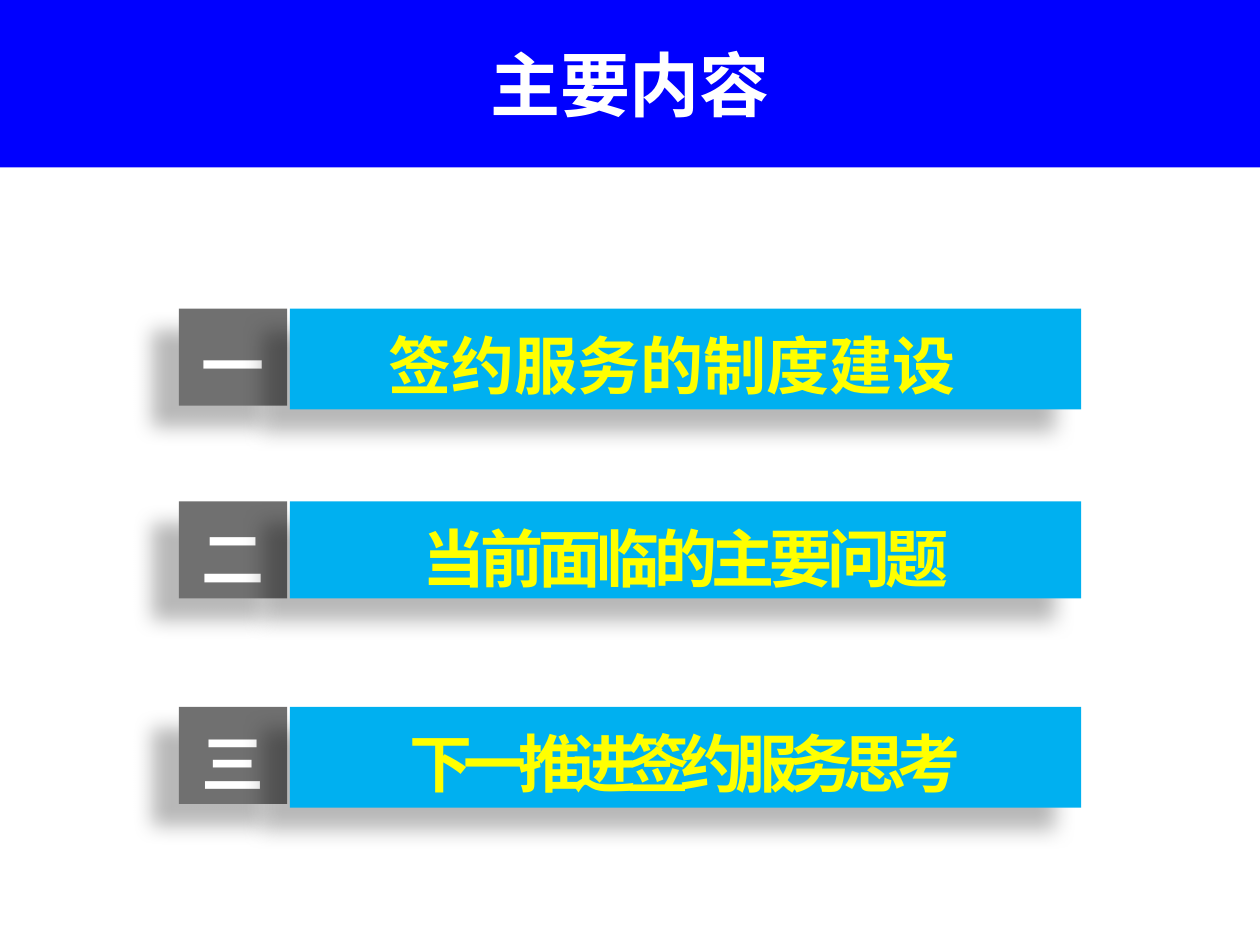
from dataclasses import dataclass

from lxml.etree import SubElement
from pptx import Presentation
from pptx.dml.color import RGBColor
from pptx.enum.shapes import MSO_SHAPE
from pptx.enum.text import MSO_ANCHOR, PP_ALIGN
from pptx.oxml.ns import qn
from pptx.util import Inches, Pt


@dataclass(frozen=True)
class Theme:
    font: str = "Noto Sans CJK SC"
    banner: str = "0000FF"
    number: str = "707070"
    bar: str = "00B0F0"
    light: str = "FFFFFF"
    accent: str = "FFFF00"
    shadow: str = "000000"
    title_size: int = 40
    item_size: int = 36
    item_line: int = 50


THEME = Theme()
WIDTH, HEIGHT = 10, 7.5
NUMBER_LEFT, NUMBER_WIDTH, NUMBER_HEIGHT = 1.42, 0.86, 0.77
BAR_LEFT, BAR_WIDTH = 2.3, 6.28

# number, heading, top, bar height, letter spacing, bar format
ITEMS = [
    ("一", "签约服务的制度建设", 2.45, 0.8, 0,
     {"alignment": PP_ALIGN.LEFT, "margin_left": Inches(0.78)}),
    ("二", "当前面临的主要问题", 3.98, 0.77, -3, {}),
    ("三", "下一推进签约服务思考", 5.61, 0.8, -5, {}),
]


def add_block(page, left, top, width, height, fill):
    block = page.shapes.add_shape(
        MSO_SHAPE.RECTANGLE, *map(Inches, (left, top, width, height)))
    block.shadow.inherit = False
    block.fill.solid()
    block.fill.fore_color.rgb = RGBColor.from_string(fill)
    block.line.fill.background()
    return block


def cast_shadow(block):
    """Add a soft shadow towards the lower left."""
    effects = block._element.spPr.find(qn("a:effectLst"))
    shadow = SubElement(
        effects, qn("a:outerShdw"), blurRad=str(Pt(11.8)),
        dist=str(Pt(19.7)), dir=str(141 * 60000), algn="ctr", rotWithShape="0")
    color = SubElement(shadow, qn("a:srgbClr"), val=THEME.shadow)
    SubElement(color, qn("a:alpha"), val="28000")


def write(block, text, size, color, spacing=0, line=None,
          anchor=MSO_ANCHOR.TOP, margin_left=Inches(0.1),
          alignment=PP_ALIGN.CENTER):
    frame = block.text_frame
    para = frame.paragraphs[0]
    span = para.add_run()
    formats = [
        (frame, {"word_wrap": True, "vertical_anchor": anchor,
                 "margin_left": margin_left}),
        (para, {"alignment": alignment,
                "line_spacing": Pt(line) if line else None}),
        (span, {"text": text}),
        (span.font, {"name": THEME.font, "size": Pt(size), "bold": True}),
    ]
    for target, values in formats:
        for name, value in values.items():
            setattr(target, name, value)
    span.font.color.rgb = RGBColor.from_string(color)
    properties = span._r.get_or_add_rPr()
    SubElement(properties, qn("a:ea"), typeface=THEME.font)
    if spacing:
        properties.set("spc", str(spacing * 100))


def add_item(page, number, heading, top, bar_height, spacing, bar_format):
    badge = add_block(page, NUMBER_LEFT, top, NUMBER_WIDTH, NUMBER_HEIGHT,
                      THEME.number)
    bar = add_block(page, BAR_LEFT, top, BAR_WIDTH, bar_height, THEME.bar)
    for block in (badge, bar):
        cast_shadow(block)
    write(badge, number, THEME.item_size, THEME.light, line=THEME.item_line)
    write(bar, heading, THEME.item_size, THEME.accent, spacing,
          THEME.item_line, **bar_format)


def main():
    deck = Presentation()
    deck.slide_width, deck.slide_height = Inches(WIDTH), Inches(HEIGHT)
    page = deck.slides.add_slide(deck.slide_layouts[6])
    banner = add_block(page, 0, 0, WIDTH, 1.33, THEME.banner)
    write(banner, "主要内容", THEME.title_size, THEME.light,
          anchor=MSO_ANCHOR.MIDDLE)
    for item in ITEMS:
        add_item(page, *item)
    deck.save("out.pptx")


if __name__ == "__main__":
    main()
